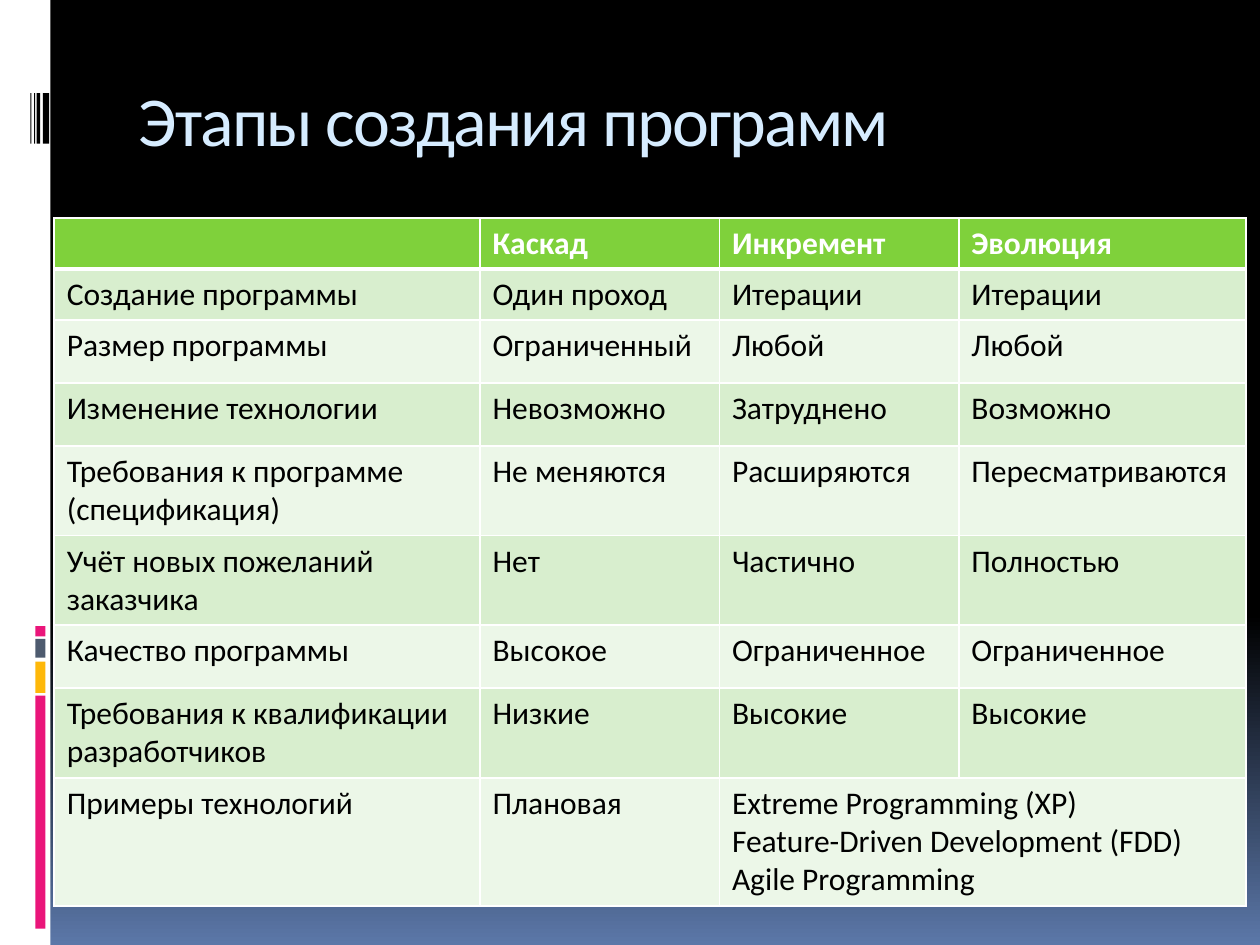
from copy import deepcopy
from dataclasses import dataclass

from lxml.etree import SubElement
from pptx import Presentation
from pptx.dml.color import RGBColor
from pptx.enum.shapes import MSO_SHAPE
from pptx.enum.text import MSO_ANCHOR, MSO_AUTO_SIZE, PP_ALIGN
from pptx.oxml.ns import qn
from pptx.slide import Slide
from pptx.table import Table, _Cell
from pptx.text.text import TextFrame
from pptx.util import Emu, Pt

SCALE = 9144  # EMU in one px, 100 px to the inch
FONT = "Calibri"

BLACK = RGBColor(0x00, 0x00, 0x00)
WHITE = RGBColor(0xFF, 0xFF, 0xFF)
BLUE = RGBColor(0x5B, 0x77, 0xA8)
SKY = RGBColor(0xD6, 0xEC, 0xFF)
PINK = RGBColor(0xEA, 0x15, 0x7A)
AMBER = RGBColor(0xFE, 0xB8, 0x0A)
SLATE = RGBColor(0x4E, 0x5B, 0x6F)
GREEN = RGBColor(0x7F, 0xD1, 0x3B)
BANDS = (RGBColor(0xEC, 0xF7, 0xE8), RGBColor(0xD8, 0xEE, 0xCE))


@dataclass(frozen=True)
class Bar:
    left: int
    top: int
    width: int
    height: int
    color: RGBColor


BARS = [
    Bar(0, 0, 40, 750, WHITE),
    Bar(28, 552, 8, 185, PINK),
    Bar(28, 525, 8, 25, AMBER),
    Bar(28, 507, 8, 15, SLATE),
    Bar(28, 497, 8, 8, PINK),
    *(Bar(left, 74, width, 40, BLACK)
      for left, width in ((34, 5), (29, 3), (27, 1), (24, 1))),
]

COLS = (338, 190, 190, 228)
ROWS = (29, 30) + (50,) * 7
CELLS = [
    ("", "Каскад", "Инкремент", "Эволюция"),
    ("Создание программы", "Один проход", "Итерации", "Итерации"),
    ("Размер программы", "Ограниченный", "Любой", "Любой"),
    ("Изменение технологии", "Невозможно", "Затруднено", "Возможно"),
    ("Требования к программе\n(спецификация)", "Не меняются",
     "Расширяются", "Пересматриваются"),
    ("Учёт новых пожеланий заказчика", "Нет", "Частично", "Полностью"),
    ("Качество программы", "Высокое", "Ограниченное", "Ограниченное"),
    ("Требования к квалификации разработчиков", "Низкие", "Высокие",
     "Высокие"),
    ("Примеры технологий", "Плановая",
     "Extreme Programming (XP)\nFeature-Driven Development (FDD)\n"
     "Agile Programming"),
]


def px(size: int) -> Emu:
    return Emu(size * SCALE)


def write(frame: TextFrame, text: str, *, size: int = 18,
          color: RGBColor = BLACK, bold: bool = False,
          track: int = 0) -> None:
    """Fill a frame, one paragraph a line; track is in points."""
    frame.text = text
    for para in frame.paragraphs:
        para.alignment = PP_ALIGN.LEFT
        for run in para.runs:
            font = run.font
            font.name, font.size, font.bold = FONT, Pt(size), bold
            font.color.rgb = color
            if track:
                run._r.get_or_add_rPr().set("spc", str(track * 100))


def paint(slide: Slide) -> None:
    """Give the slide a black ground that turns blue at the foot."""
    fill = slide.background.fill
    fill.gradient()
    fill.gradient_angle = 270
    for stop, place, color in zip(fill.gradient_stops, (0.65, 1), (BLACK, BLUE)):
        stop.position = place
        stop.color.rgb = color
    stops = slide.element.find(".//" + qn("a:gsLst"))
    first = deepcopy(stops[0])
    first.set("pos", "0")
    stops.insert(0, first)


def draw(slide: Slide, bar: Bar) -> None:
    shape = slide.shapes.add_shape(
        MSO_SHAPE.RECTANGLE, px(bar.left), px(bar.top),
        px(bar.width), px(bar.height))
    shape.shadow.inherit = False
    shape.fill.solid()
    shape.fill.fore_color.rgb = bar.color
    shape.line.fill.background()


def edge(cell: _Cell, top: int = 1, foot: int = 1) -> None:
    """Rule the four sides in white; call it before the fill is set."""
    props = cell._tc.get_or_add_tcPr()
    for side, width in (("L", 1), ("R", 1), ("T", top), ("B", foot)):
        line = SubElement(props, qn(f"a:ln{side}"), w=str(Pt(width)))
        fill = SubElement(line, qn("a:solidFill"))
        SubElement(fill, qn("a:srgbClr"), val=str(WHITE))


def fill_in(table: Table) -> None:
    for col, width in zip(table.columns, COLS):
        col.width = px(width)
    for row, height in zip(table.rows, ROWS):
        row.height = px(height)
    for i, row in enumerate(table.rows):
        head = i == 0
        for cell in row.cells:
            edge(cell, top=3 if i == 1 else 1, foot=3 if head else 1)
            cell.fill.solid()
            cell.fill.fore_color.rgb = GREEN if head else BANDS[i % 2]
        for cell, text in zip(row.cells, CELLS[i]):
            write(cell.text_frame, text, bold=head,
                  color=WHITE if head else BLACK)
    last = len(ROWS) - 1
    table.cell(last, 2).merge(table.cell(last, 3))


def main() -> None:
    deck = Presentation()
    deck.slide_width, deck.slide_height = px(1000), px(750)
    slide = deck.slides.add_slide(deck.slide_layouts[5])
    paint(slide)
    for bar in BARS:
        draw(slide, bar)

    title = slide.shapes.title
    title.left, title.top = px(100), px(56)
    title.width, title.height = px(850), px(100)
    frame = title.text_frame
    frame.auto_size = MSO_AUTO_SIZE.NONE
    frame.vertical_anchor = MSO_ANCHOR.TOP
    write(frame, "Этапы создания программ", size=40, color=SKY, track=-1)

    grid = slide.shapes.add_table(
        len(ROWS), len(COLS), px(43), px(173), px(sum(COLS)), px(sum(ROWS)))
    fill_in(grid.table)
    deck.save("out.pptx")


if __name__ == "__main__":
    main()
